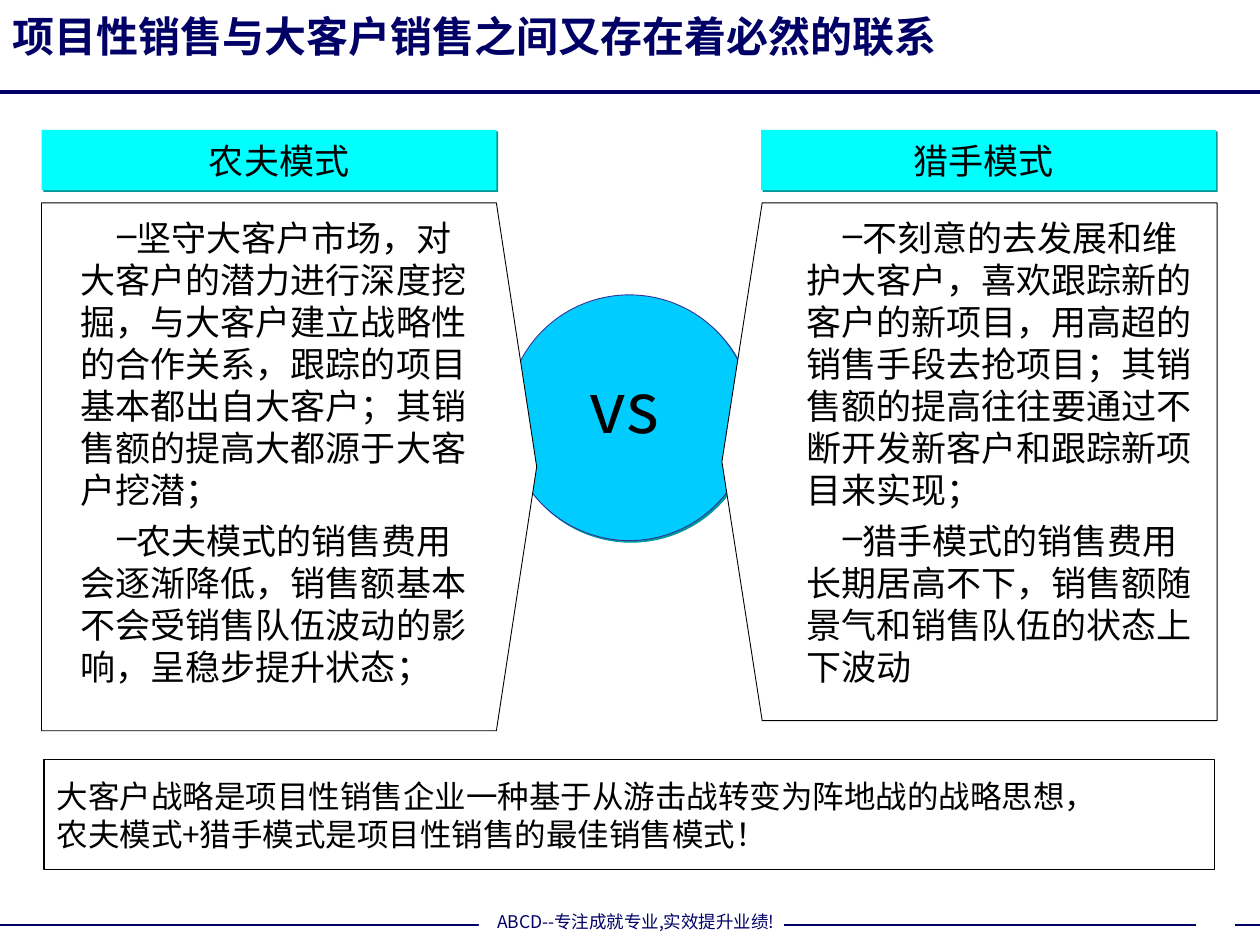
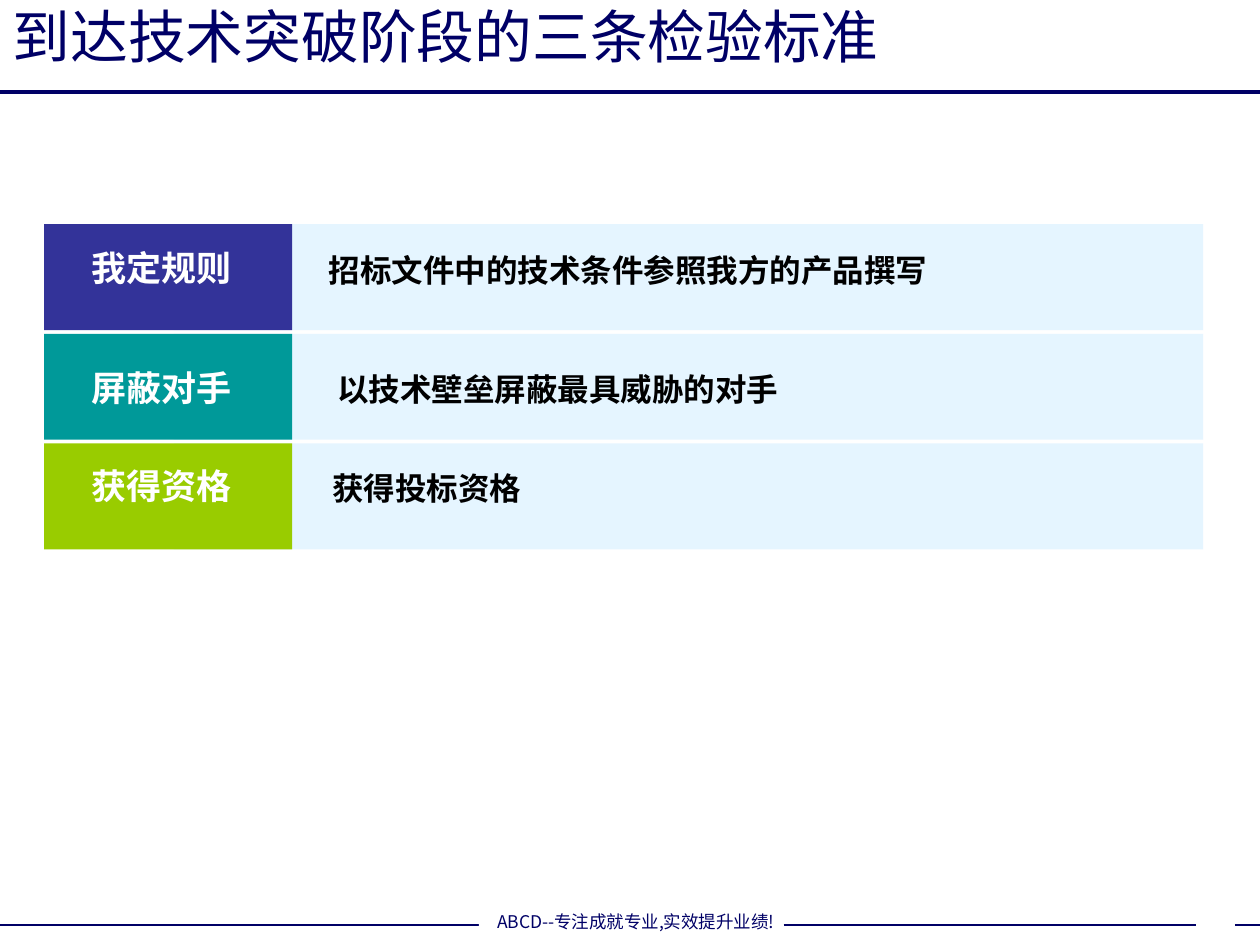
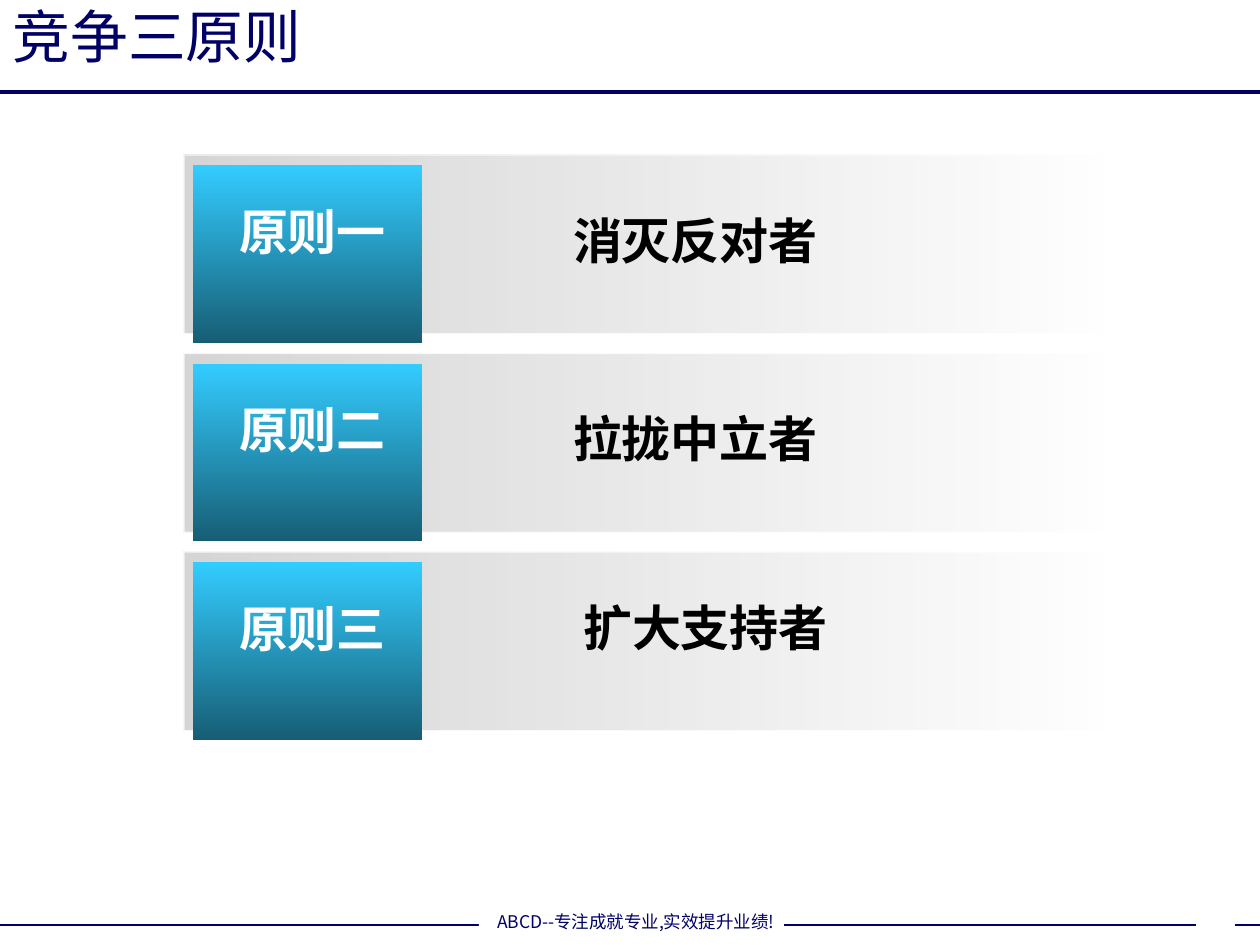
from pptx import Presentation
from pptx.dml.color import RGBColor
from pptx.enum import shapes, text
from pptx.oxml import ns
from pptx.oxml.xmlchemy import OxmlElement
from pptx.util import Inches, Pt

SANS, ARIAL = "Noto Sans CJK SC", "Arial"
NAVY, BLACK, WHITE = "000066", "000000", "FFFFFF"
CYAN, SKY, TEAL, INDIGO, LIME, PALE = "00FFFF", "00CCFF", "009999", "333399", "99CC00", "CCECFF"
LEFT, CENTER = text.PP_ALIGN.LEFT, text.PP_ALIGN.CENTER
TOP, MIDDLE = text.MSO_ANCHOR.TOP, text.MSO_ANCHOR.MIDDLE
RECT, OVAL = shapes.MSO_SHAPE.RECTANGLE, shapes.MSO_SHAPE.OVAL
FOOTER = "ABCD--专注成就专业,实效提升业绩!"


# --- Formatting helpers ---
def rgb(color):
    return RGBColor.from_string(color)


def child(parent, tag, **attrs):
    el = OxmlElement(tag)
    for name, value in attrs.items():
        el.set(name, str(value))
    if parent is not None:
        parent.append(el)
    return el


def shadow_effect(color):
    effects = child(None, "a:effectLst")
    outer = child(effects, "a:outerShdw", dist=Pt(1.4), dir=45 * 60000, algn="ctr", rotWithShape=0)
    child(outer, "a:srgbClr", val=color)
    return effects


def set_alpha(el, percent):
    for clr in el.iter(ns.qn("a:srgbClr")):
        child(clr, "a:alpha", val=percent * 1000)


def paint(sp, fill, line=None, width=0.5, shadow=None):
    sp.shadow.inherit = False
    sp.fill.solid()
    sp.fill.fore_color.rgb = rgb(fill)
    outline(sp, line, width)
    if shadow:
        spPr = sp._element.spPr
        spPr.replace(spPr.find(ns.qn("a:effectLst")), shadow_effect(shadow))


def outline(sp, line, width):
    if line:
        sp.line.color.rgb = rgb(line)
        sp.line.width = Pt(width)
    else:
        sp.line.fill.background()


def write(sp, lines, size, color=BLACK, font=SANS, bold=False, align=LEFT,
          anchor=TOP, inset=(0.1, 0.05), wrap=True):
    tf = sp.text_frame
    tf.text = "\n".join(lines)
    tf.word_wrap = wrap
    tf.auto_size = text.MSO_AUTO_SIZE.NONE
    tf.vertical_anchor = anchor
    tf.margin_left = tf.margin_right = Inches(inset[0])
    tf.margin_top = tf.margin_bottom = Inches(inset[1])
    for p in tf.paragraphs:
        p.alignment = align
        p.line_spacing = Pt(size * 1.2)
        p.font.size, p.font.bold, p.font.name = Pt(size), bold, font
        p.font.color.rgb = rgb(color)
        child(p.font._element, "a:ea", typeface=SANS)
    return tf


# --- Elements ---
def add_box(s, x, y, w, h, fill, kind=RECT, **style):
    sp = s.shapes.add_shape(kind, Inches(x), Inches(y), Inches(w), Inches(h))
    paint(sp, fill, **style)
    return sp


def add_text(s, x, y, w, h, lines, size, **style):
    sp = s.shapes.add_textbox(Inches(x), Inches(y), Inches(w), Inches(h))
    return write(sp, lines, size, **style)


def add_rule(s, x1, x2, y, width):
    y = Inches(y)
    cx = s.shapes.add_connector(shapes.MSO_CONNECTOR.STRAIGHT, Inches(x1), y, Inches(x2), y)
    cx.line.color.rgb = rgb(NAVY)
    cx.line.width = Pt(width)
    child(cx._element.spPr, "a:effectLst")
    return cx


def add_gradient(s, x, y, w, h, colors, angle):
    sp = add_box(s, x, y, w, h, colors[0])
    sp.fill.gradient()
    sp.fill.gradient_angle = angle
    for stop, color in zip(sp.fill.gradient_stops, colors):
        stop.color.rgb = rgb(color)
    return sp


def add_panel(s, outer, inner, tip, top, bottom):
    """Text panel whose inner side points towards the centre."""
    points = [(inner, top), (tip, (top + bottom) / 2), (inner, bottom), (outer, bottom)]
    fb = s.shapes.build_freeform(Inches(outer), Inches(top))
    fb.add_line_segments([(Inches(x), Inches(y)) for x, y in points], close=True)
    paint(fb.convert_to_shape(), WHITE, line=BLACK)


def add_dashed_text(s, x, y, w, h, lines):
    tf = add_text(s, x, y, w, h, lines, 20, inset=(0, 0))
    for p in tf.paragraphs:
        p.space_before = Pt(5)
        pPr = p._p.get_or_add_pPr()
        pPr.set("marL", str(Inches(0.21)))
        pPr.set("indent", str(Inches(0.29)))
        pPr.find(ns.qn("a:defRPr")).addprevious(child(None, "a:buChar", char="–"))


def add_slide(prs, title, width=7.13, size=33, bold=False):
    s = prs.slides.add_slide(prs.slide_layouts[5])
    sp = s.shapes.title
    sp.left, sp.top, sp.width, sp.height = 0, 0, Inches(width), Inches(0.57)
    write(sp, [title], size, color=NAVY, bold=bold, anchor=MIDDLE)
    return s


def move_frame_to_layout(s):
    """Draw the header rule and footer, then hand them to the shared layout."""
    footer = [add_rule(s, 0, 10, 0.73, 2.25)]
    footer.append(add_rule(s, 0, 3.9, 7.34, 1))
    band = add_box(s, 3.8, 7.18, 2.49, 0.27, WHITE)
    write(band, [FOOTER], 10, color=NAVY, align=CENTER, anchor=MIDDLE, inset=(0, 0), wrap=False)
    footer += [band, add_rule(s, 6.22, 9.49, 7.34, 1), add_rule(s, 9.8, 10, 7.34, 1)]
    for sp in footer:
        s.slide_layout.shapes._spTree.append(sp._element)


# --- Slides ---
def farmer_and_hunter(prs):
    s = add_slide(prs, "项目性销售与大客户销售之间又存在着必然的联系", 9.73, 24, True)
    move_frame_to_layout(s)
    add_box(s, 4.02, 2.34, 1.95, 1.95, SKY, OVAL, line=INDIGO, shadow=TEAL)
    models = [
        ("农夫模式", 0.33, 0.67, 0.43, (0.33, 3.94, 4.26, 1.61, 5.8), [
            "坚守大客户市场，对大客户的潜力进行深度挖掘，与大客户建立战略性的合作关系，"
            "跟踪的项目基本都出自大客户；其销售额的提高大都源于大客户挖潜；",
            "农夫模式的销售费用会逐渐降低，销售额基本不会受销售队伍波动的影响，呈稳步提升状态；"]),
        ("猎手模式", 6.04, 6.26, 6.19, (9.66, 6.05, 5.73, 1.61, 5.72), [
            "不刻意的去发展和维护大客户，喜欢跟踪新的客户的新项目，用高超的销售手段去抢项目；"
            "其销售额的提高往往要通过不断开发新客户和跟踪新项目来实现；",
            "猎手模式的销售费用长期居高不下，销售额随景气和销售队伍的状态上下波动"]),
    ]
    for name, head_x, name_x, body_x, panel, points in models:
        add_panel(s, *panel)
        add_dashed_text(s, body_x, 1.72, 3.37, 3.74, points)
        add_box(s, head_x, 1.03, 3.61, 0.48, CYAN, shadow=TEAL)
        add_text(s, name_x, 1.11, 3.09, 0.33, [name], 20, align=CENTER, anchor=MIDDLE, inset=(0, 0))
    add_text(s, 4.21, 2.88, 1.49, 0.67, ["vs"], 40, align=CENTER, anchor=MIDDLE, inset=(0, 0))
    summary = add_box(s, 0.35, 6.03, 9.29, 0.87, WHITE, line=BLACK, width=0.75)
    write(summary, ["大客户战略是项目性销售企业一种基于从游击战转变为阵地战的战略思想，",
                    "农夫模式+猎手模式是项目性销售的最佳销售模式！"], 18, anchor=MIDDLE)


def three_criteria(prs):
    s = add_slide(prs, "到达技术突破阶段的三条检验标准")
    criteria = [
        ("我定规则", INDIGO, 1.91, "招标文件中的技术条件参照我方的产品撰写", 2.51),
        ("屏蔽对手", TEAL, 2.86, "以技术壁垒屏蔽最具威胁的对手", 2.58),
        ("获得资格", LIME, 3.64, "获得投标资格", 2.54),
    ]
    for i, (name, color, y, rule, rule_x) in enumerate(criteria):
        row_y = 1.78 + i * 0.87
        band = add_box(s, 1.38, row_y, 8.17, 0.84, PALE)
        set_alpha(band._element.spPr, 50)
        add_box(s, 0.35, row_y, 1.97, 0.84, color)
        add_text(s, 0.53, y, 1.51, 0.44, [name], 20, color=WHITE, font=ARIAL, bold=True, align=CENTER)
        add_text(s, rule_x, y + 0.03, 6.38, 0.4, [rule], 18, font=ARIAL, bold=True)


def three_principles(prs):
    s = add_slide(prs, "竞争三原则")
    principles = [
        ("原则一", "消灭反对者", 4.45, 0.39),
        ("原则二", "拉拢中立者", 4.45, 0.39),
        ("原则三", "扩大支持者", 4.53, 0.31),
    ]
    for i, (name, goal, goal_x, goal_dy) in enumerate(principles):
        y = 1.23 + i * 1.575
        band = add_gradient(s, 1.46, y, 7.4, 1.42, (WHITE, "757575"), 180)
        set_alpha(band._element.spPr, 30)
        outline(band, WHITE, 0.75)
        set_alpha(band._element.spPr.find(ns.qn("a:ln")), 80)
        add_gradient(s, 1.53, y + 0.08, 1.82, 1.41, ("33CCFF", "175E75"), 270)
        tf = add_text(s, 1.53, y + 0.32, 1.9, 0.57, [name], 28, color=WHITE,
                      font=ARIAL, bold=True, align=CENTER)
        font_el = tf.paragraphs[0].font._element
        font_el.find(ns.qn("a:solidFill")).addnext(shadow_effect(BLACK))
        add_text(s, goal_x, y + goal_dy, 3.4, 0.57, [goal], 28, font=ARIAL, bold=True)


def main():
    prs = Presentation()
    prs.slide_width, prs.slide_height = Inches(10), Inches(7.5)
    farmer_and_hunter(prs)
    three_criteria(prs)
    three_principles(prs)
    prs.save("out.pptx")


if __name__ == "__main__":
    main()
